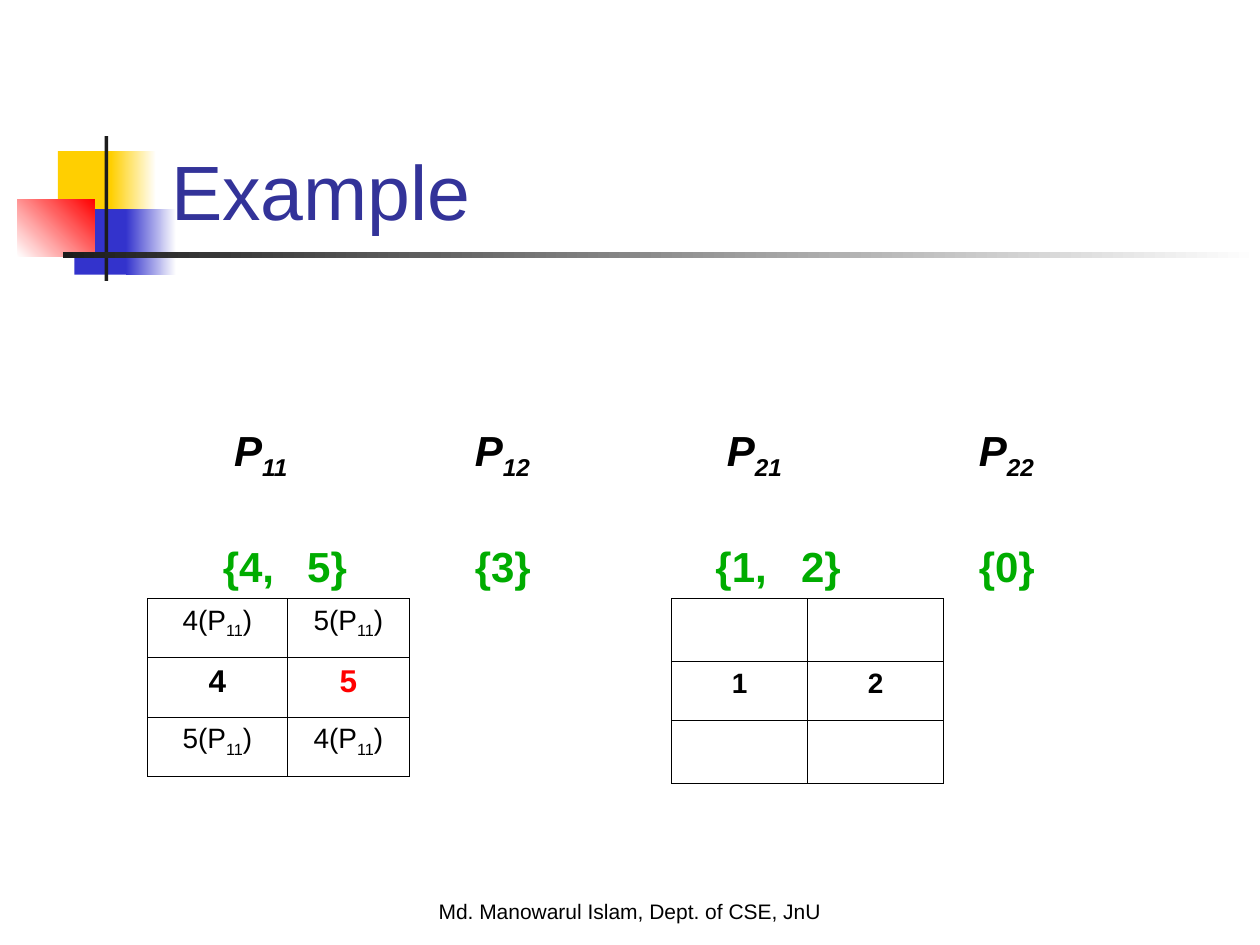
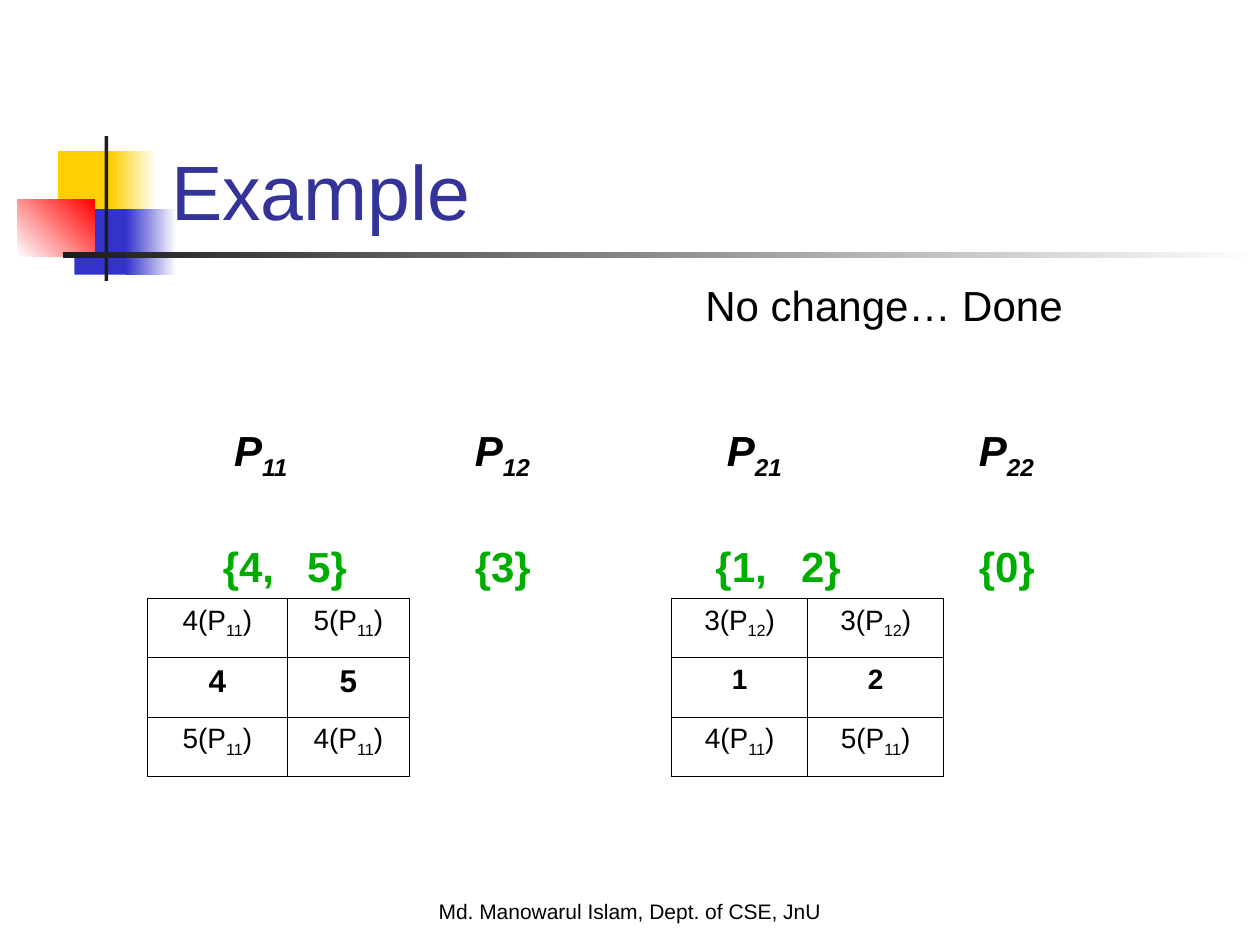
"""Build two slides that trace array elements and their neighbours across processors."""
from lxml import etree
from pptx import Presentation
from pptx.dml.color import RGBColor
from pptx.enum import shapes, text
from pptx.oxml import ns
from pptx.util import Inches, Pt

FONT = "Arial"
BLACK = RGBColor(0x00, 0x00, 0x00)
WHITE = RGBColor(0xFF, 0xFF, 0xFF)
RED = RGBColor(0xFF, 0x00, 0x00)
GREEN = RGBColor(0x00, 0xAC, 0x00)
YELLOW = RGBColor(0xFF, 0xCF, 0x01)
BLUE = RGBColor(0x33, 0x33, 0xCC)
NAVY = RGBColor(0x33, 0x33, 0x99)
CHARCOAL = RGBColor(0x1C, 0x1C, 0x1C)

FOOTER = "Md. Manowarul Islam, Dept. of CSE, JnU"
PROCESSORS = "\tP_11_\tP_12_\tP_21_\tP_22_"
ELEMENTS = "\t{4,\t5}\t{3}\t{1,\t2}\t{0}"
PROCESSOR_TABS = (1.09, 3, 5, 7)
ELEMENT_TABS = (1, 1.67, 3, 4.91, 5.59, 7)

DECOR = [
    ((0.46, 1.2, 0.48, 0.52), (YELLOW,), 0),
    ((0.88, 1.2, 0.36, 0.52), (YELLOW, WHITE), 0),
    ((0.59, 1.66, 0.46, 0.52), (BLUE,), 0),
    ((1, 1.66, 0.4, 0.52), (BLUE, WHITE), 0),
    ((0.14, 1.58, 0.61, 0.46), (WHITE, RED), 45),
    ((0.83, 1.08, 0.03, 1.15), (CHARCOAL,), 0),
    ((0.5, 2, 9.5, 0.05), (CHARCOAL, WHITE), 0),
]

LEFT_CELLS = [["4(P_11_)", "5(P_11_)"], ["4", "5"], ["5(P_11_)", "4(P_11_)"]]
LEFT = dict(x=1.17, widths=(1.11, 0.97), center_size=18)
RIGHT = dict(x=5.33, widths=(1.08, 1.08), center_size=16)

SLIDES = [
    dict(title="Example", note=None, tables=[
        dict(LEFT, cells=LEFT_CELLS, marked="5"),
        dict(RIGHT, cells=[["", ""], ["1", "2"], ["", ""]]),
    ]),
    dict(title="Example", note="No change… Done", tables=[
        dict(LEFT, cells=LEFT_CELLS),
        dict(RIGHT, cells=[["3(P_12_)", "3(P_12_)"], ["1", "2"],
                           ["4(P_11_)", "5(P_11_)"]]),
    ]),
]


def write(p, content, size, color=BLACK, bold=False, italic=False,
          align=text.PP_ALIGN.LEFT, tabs=()):
    """Fill a paragraph; parts between underscores become subscripts."""
    p.alignment = align
    if tabs:
        tab_list = etree.SubElement(p._p.get_or_add_pPr(), ns.qn("a:tabLst"))
        for pos in tabs:
            etree.SubElement(tab_list, ns.qn("a:tab"), pos=str(Inches(pos)), algn="l")
    for i, part in enumerate(content.split("_")):
        if not part:
            continue
        r = p.add_run()
        r.text = part
        r.font.name, r.font.size = FONT, Pt(size)
        r.font.bold, r.font.italic = bold, italic
        r.font.color.rgb = color
        if i % 2:
            r._r.get_or_add_rPr().set("baseline", "-25000")


def add_box(s, box, anchor=text.MSO_ANCHOR.TOP):
    """Add a wrapping text box and return its frame."""
    tf = s.shapes.add_textbox(*map(Inches, box)).text_frame
    tf.word_wrap = True
    tf.vertical_anchor = anchor
    return tf


def add_decor(s):
    """Draw the coloured squares and bars beside the title."""
    for box, colors, angle in DECOR:
        sp = s.shapes.add_shape(shapes.MSO_SHAPE.RECTANGLE, *map(Inches, box))
        sp.shadow.inherit = False
        sp.line.fill.background()
        if len(colors) == 1:
            sp.fill.solid()
            sp.fill.fore_color.rgb = colors[0]
        else:
            sp.fill.gradient()
            sp.fill.gradient_angle = angle
            for stop, color in zip(sp.fill.gradient_stops, colors):
                stop.color.rgb = color


def add_borders(cell):
    """Give a cell thin black edges and no fill."""
    tc_pr = cell._tc.get_or_add_tcPr()
    for edge in ("lnL", "lnR", "lnT", "lnB"):
        ln = etree.SubElement(tc_pr, ns.qn("a:" + edge), w=str(Pt(0.45)))
        fill = etree.SubElement(ln, ns.qn("a:solidFill"))
        etree.SubElement(fill, ns.qn("a:srgbClr"), val=str(BLACK))
    cell.fill.background()


def add_neighbours(s, x, widths, center_size, cells, marked=None):
    """Add a table with each element between its two neighbours."""
    heights = [0.47 if any(row) else 0.5 for row in cells]
    tbl = s.shapes.add_table(len(cells), len(widths), Inches(x), Inches(4.75),
                             Inches(sum(widths)), Inches(sum(heights))).table
    tbl.first_row = tbl.horz_banding = False
    for col, width in zip(tbl.columns, widths):
        col.width = Inches(width)
    for i, row in enumerate(cells):
        tbl.rows[i].height = Inches(heights[i])
        center = i == 1
        for j, content in enumerate(row):
            cell = tbl.cell(i, j)
            add_borders(cell)
            write(cell.text_frame.paragraphs[0], content,
                  center_size if center else 16, bold=center,
                  color=RED if center and content == marked else BLACK,
                  align=text.PP_ALIGN.CENTER)


def add_slide(prs, title, note, tables):
    """Add one slide with the shared frame, the processor rows and the tables."""
    s = prs.slides.add_slide(prs.slide_layouts[6])
    add_decor(s)
    write(add_box(s, (0, 7.08, 10, 0.5)).paragraphs[0], FOOTER, 12,
          align=text.PP_ALIGN.CENTER)
    write(add_box(s, (1.26, 0.67, 8.52, 1.25), text.MSO_ANCHOR.BOTTOM).paragraphs[0],
          title, 44, NAVY)
    tf = add_box(s, (0.67, 2.95, 9, 1.79), text.MSO_ANCHOR.BOTTOM)
    write(tf.paragraphs[0], PROCESSORS, 24, bold=True, italic=True, tabs=PROCESSOR_TABS)
    p = tf.add_paragraph()
    p.space_before, p.line_spacing = Pt(31), 1.1
    write(p, ELEMENTS, 24, GREEN, bold=True, tabs=ELEMENT_TABS)
    for table in tables:
        add_neighbours(s, **table)
    if note:
        write(add_box(s, (5.5, 2.17, 3.75, 0.5)).paragraphs[0], note, 24)


def main():
    prs = Presentation()
    prs.slide_width, prs.slide_height = Inches(10), Inches(7.5)
    for content in SLIDES:
        add_slide(prs, **content)
    prs.save("out.pptx")


if __name__ == "__main__":
    main()
